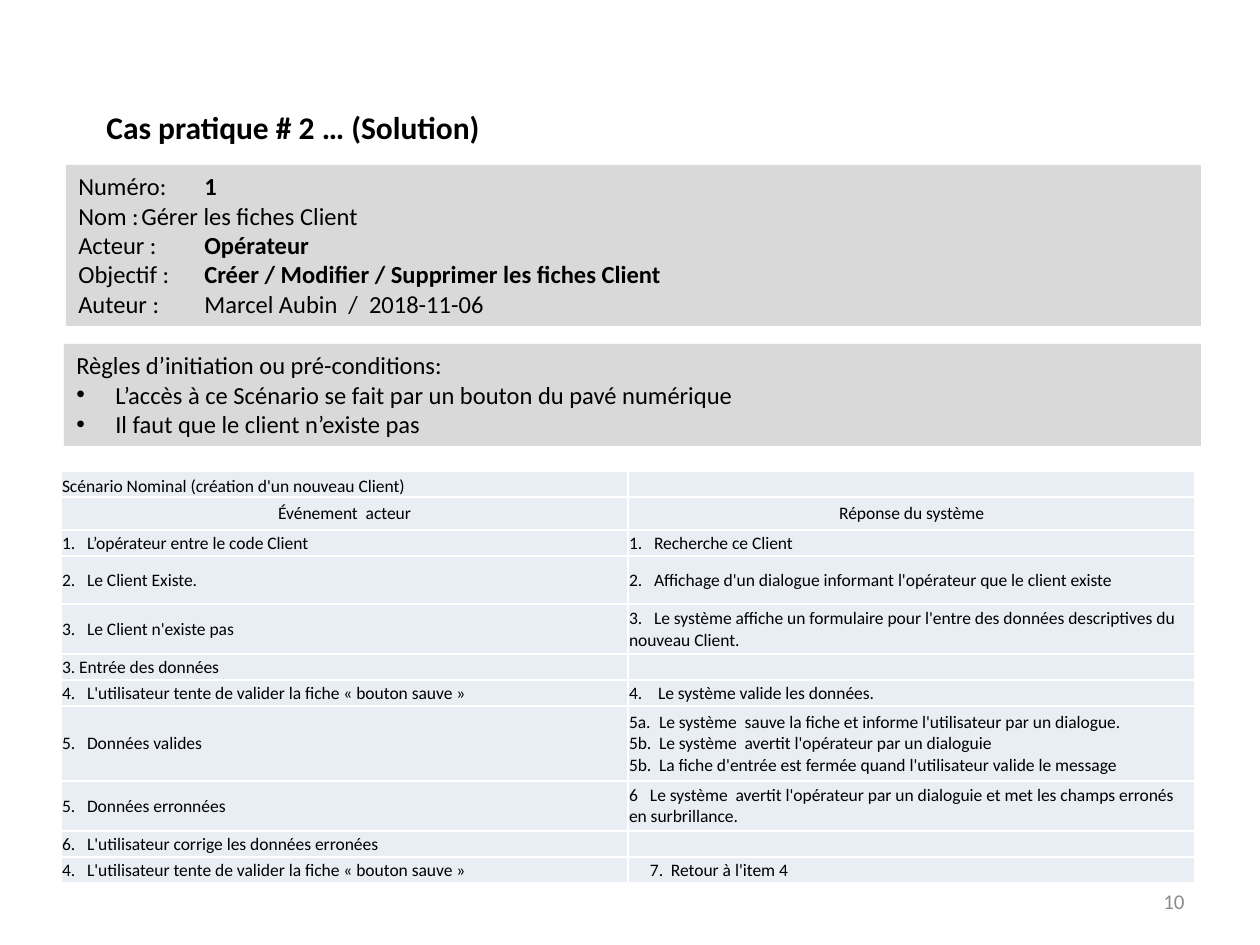
import pptx
import pptx.dml.color
import pptx.enum.shapes
import pptx.enum.text
import pptx.oxml
import pptx.oxml.ns
import pptx.util

ALIGN = pptx.enum.text.PP_ALIGN
ANCHOR = pptx.enum.text.MSO_ANCHOR
NAMESPACE = pptx.oxml.ns.nsdecls("a")


def pixels(count):
    return pptx.util.Emu(round(count * 914400 / 126))


def color(value):
    return pptx.dml.color.RGBColor.from_string(value)


class SlideBuilder:
    font = "Calibri"
    ink = "000000"
    panel_fill = "D9D9D9"
    cell_fill = "E9EDF4"
    border = "FFFFFF"

    def __init__(self, presentation):
        self.slide = presentation.slides.add_slide(presentation.slide_layouts[6])

    def style(self, paragraph, size, bold=False, ink=None, align=ALIGN.LEFT):
        paragraph.alignment = align
        paragraph.font.name = self.font
        paragraph.font.size = pptx.util.Pt(size)
        paragraph.font.bold = bold
        paragraph.font.color.rgb = color(ink or self.ink)

    def text(self, box, content, size, wrap=True, anchor=ANCHOR.TOP, **style):
        shape = self.slide.shapes.add_textbox(*map(pixels, box))
        frame = shape.text_frame
        frame.word_wrap = wrap
        frame.vertical_anchor = anchor
        frame.text = content
        self.style(frame.paragraphs[0], size, **style)

    def panel(self, box, lines, size=14):
        """Each line is (bulleted, [(text, bold), ...])."""
        shape = self.slide.shapes.add_shape(
            pptx.enum.shapes.MSO_SHAPE.RECTANGLE, *map(pixels, box))
        shape.shadow.inherit = False
        shape.fill.solid()
        shape.fill.fore_color.rgb = color(self.panel_fill)
        shape.line.fill.background()
        frame = shape.text_frame
        frame.word_wrap = True
        frame.vertical_anchor = ANCHOR.TOP
        for index, (bulleted, runs) in enumerate(lines):
            paragraph = frame.paragraphs[0] if index == 0 else frame.add_paragraph()
            self.style(paragraph, size)
            for text, bold in runs:
                run = paragraph.add_run()
                run.text = text
                run.font.bold = bold
            if bulleted:
                self.bullet(paragraph, 39)

    def bullet(self, paragraph, indent):
        properties = paragraph._p.get_or_add_pPr()
        properties.set("marL", str(pixels(indent)))
        properties.set("indent", str(-pixels(indent)))
        marks = (f'<a:buFont {NAMESPACE} typeface="Arial"/>',
                 f'<a:buChar {NAMESPACE} char="•"/>')
        for index, mark in enumerate(marks):
            properties.insert(index, pptx.oxml.parse_xml(mark))

    def table(self, left, top, widths, rows, size=10):
        """Each row is (height, left cell, right cell)."""
        heights = [row[0] for row in rows]
        frame = self.slide.shapes.add_table(
            len(rows), len(widths),
            *map(pixels, (left, top, sum(widths), sum(heights))))
        table = frame.table
        table.first_row = table.horz_banding = False
        for column, width in zip(table.columns, widths):
            column.width = pixels(width)
        for row, (height, *cells) in zip(table.rows, rows):
            row.height = pixels(height)
            for cell, options in zip(row.cells, cells):
                self.cell(cell, size, **options)

    def cell(self, cell, size, text="", tab=25, inset=1,
             align=ALIGN.LEFT, anchor=ANCHOR.MIDDLE):
        cell.margin_left, cell.margin_right = pixels(inset), pixels(1)
        cell.margin_top, cell.margin_bottom = pixels(1), 0
        cell.vertical_anchor = anchor
        cell.fill.solid()
        cell.fill.fore_color.rgb = color(self.cell_fill)
        for index, side in enumerate(("lnL", "lnR", "lnT", "lnB")):
            cell._tc.get_or_add_tcPr().insert(index, pptx.oxml.parse_xml(
                f'<a:{side} {NAMESPACE} w="12700"><a:solidFill>'
                f'<a:srgbClr val="{self.border}"/></a:solidFill></a:{side}>'))
        paragraph = cell.text_frame.paragraphs[0]
        paragraph.text = text
        self.style(paragraph, size, align=align)
        if "\t" in text:
            paragraph._p.pPr.insert(0, pptx.oxml.parse_xml(
                f'<a:tabLst {NAMESPACE}><a:tab pos="{pixels(tab)}" algn="l"/></a:tabLst>'))
        if not text:
            # An empty cell takes its height from the end mark
            paragraph._p.append(pptx.oxml.parse_xml(
                f'<a:endParaRPr {NAMESPACE} sz="{size * 100}"/>'))


def entry(text="", **options):
    return dict(text=text, **options)


presentation = pptx.Presentation()
presentation.slide_width = pixels(1260)
presentation.slide_height = pixels(945)
builder = SlideBuilder(presentation)

# Page number and title
builder.text((903, 876, 294, 50), "10", 12, anchor=ANCHOR.MIDDLE,
             ink="8C8C8C", align=ALIGN.RIGHT)
builder.text((94, 102, 403, 50), "Cas pratique # 2 … (Solution)", 18,
             wrap=False, bold=True)

# Preconditions
builder.panel((64, 344, 1137, 102), [
    (False, [("Règles d’initiation ou pré-conditions:", False)]),
    (True, [("L’accès à ce Scénario se fait par un bouton du pavé numérique", False)]),
    (True, [("Il faut que le client n’existe pas", False)]),
])

# Nominal scenario
SAVE = "4.\tL'utilisateur tente de valider la fiche « bouton sauve »"
builder.table(61, 471, (567, 567), [
    (26, entry("Scénario Nominal (création d'un nouveau Client)",
               anchor=ANCHOR.BOTTOM), entry()),
    (33, entry("Événement  acteur", align=ALIGN.CENTER),
     entry("Réponse du système", align=ALIGN.CENTER)),
    (26, entry("1.\tL’opérateur entre le code Client"),
     entry("1.\tRecherche ce Client")),
    (48, entry("2.\tLe Client Existe."),
     entry("2.\tAffichage d'un dialogue informant l'opérateur que le client existe")),
    (50, entry("3.\tLe Client n'existe pas"),
     entry("3.\tLe système affiche un formulaire pour l'entre des données "
           "descriptives du nouveau Client.")),
    (26, entry("3. Entrée des données"), entry()),
    (26, entry(SAVE), entry("4.\tLe système valide les données.", tab=29)),
    (75, entry("5.\tDonnées valides"),
     entry("5a.\tLe système  sauve la fiche et informe l'utilisateur par un dialogue.\v"
           "5b.\tLe système  avertit l'opérateur par un dialoguie\v"
           "5b.\tLa fiche d'entrée est fermée quand l'utilisateur valide le message",
           tab=30)),
    (50, entry("5.\tDonnées erronnées"),
     entry("6\tLe système  avertit l'opérateur par un dialoguie et met les champs "
           "erronés en surbrillance.", tab=21)),
    (26, entry("6.\tL'utilisateur corrige les données erronées"), entry()),
    (26, entry(SAVE), entry("7.\tRetour à l'item 4", tab=21, inset=22)),
])

# Use case identity
identity = [
    ("Numéro:", "1", True),
    ("Nom :", "Gérer les fiches Client", False),
    ("Acteur :", "Opérateur", True),
    ("Objectif :", "Créer / Modifier / Supprimer les fiches Client", True),
    ("Auteur :", "Marcel Aubin  /  2018-11-06", False),
]
builder.panel((66, 165, 1135, 161), [
    (False, [(label + "\t", False), (value, bold)]) for label, value, bold in identity])

presentation.save("out.pptx")
